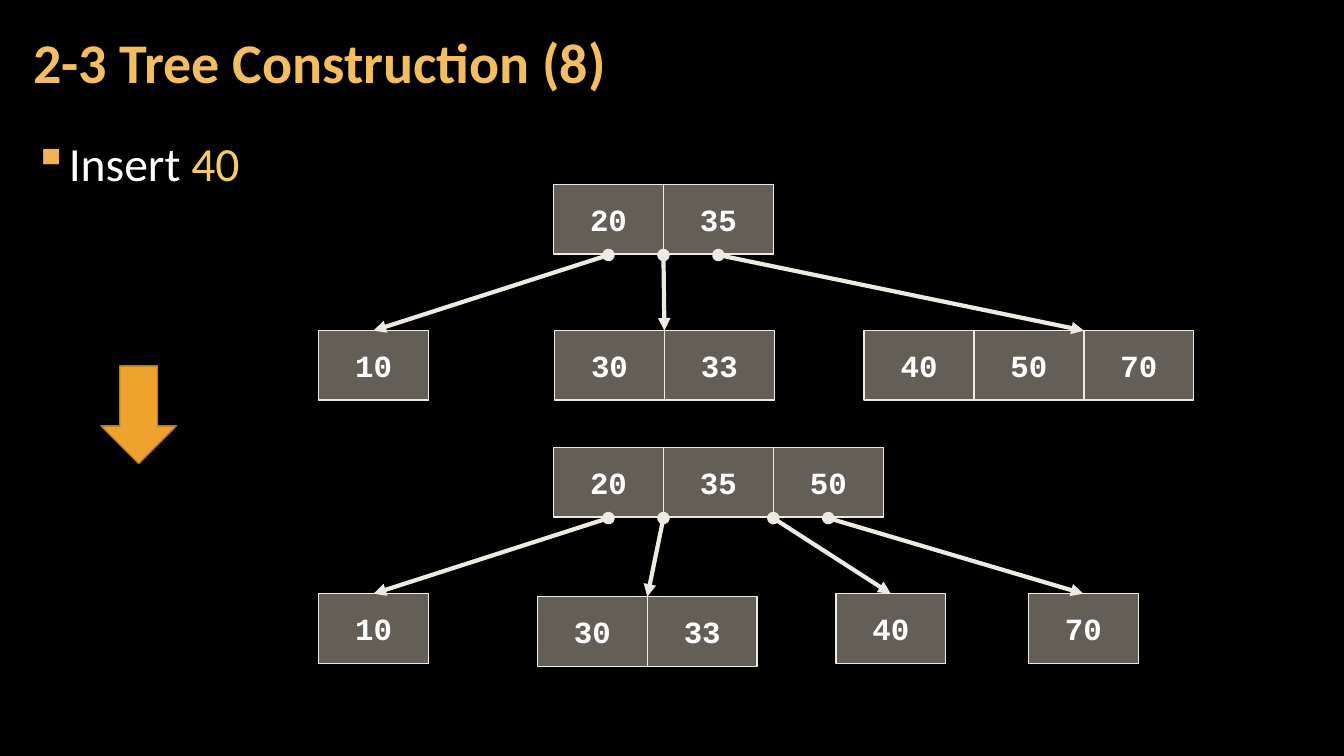
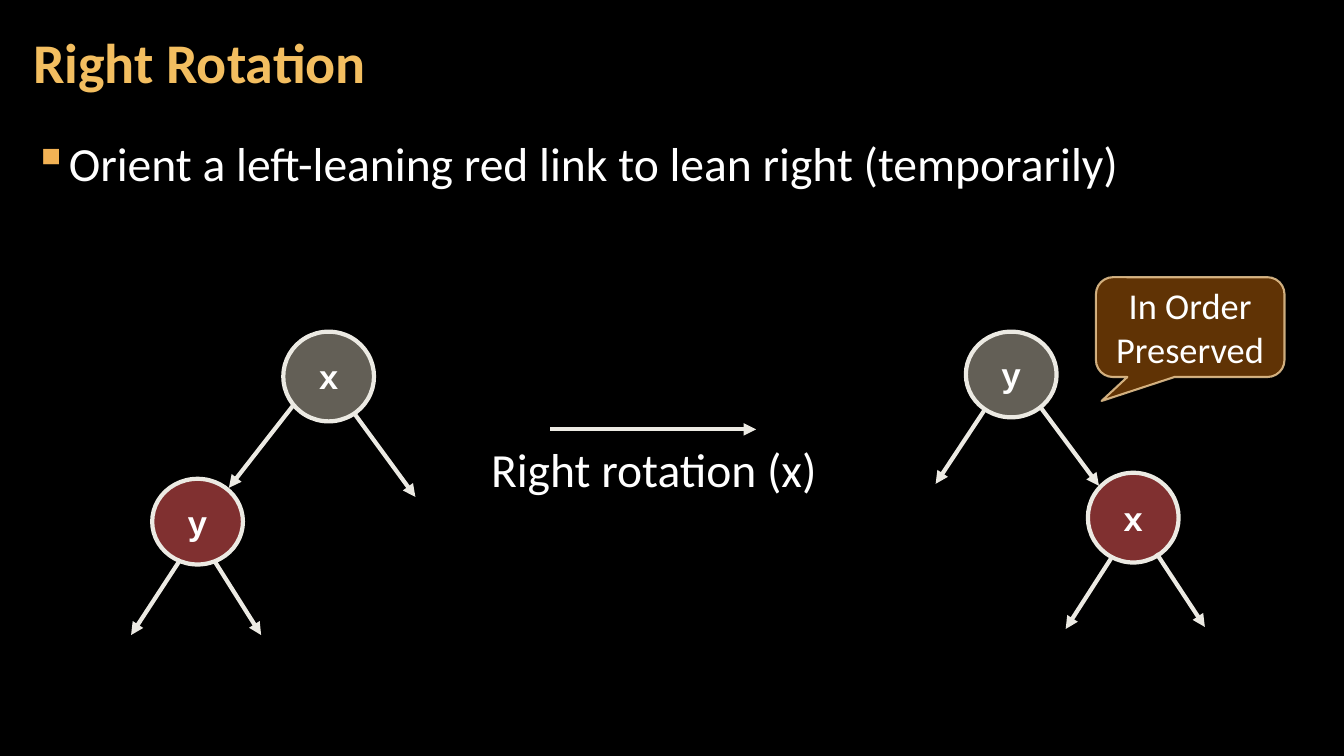
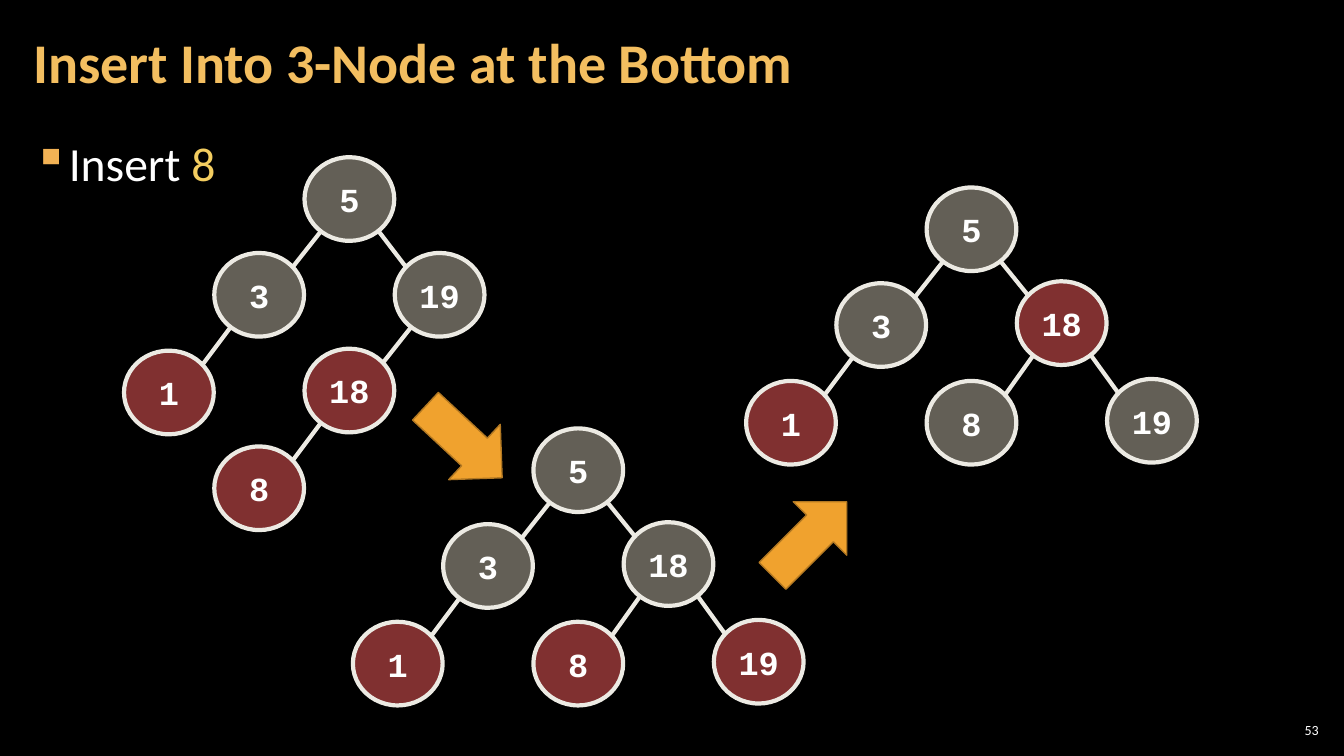
from collections import namedtuple

from lxml import etree
from pptx import Presentation
from pptx.dml.color import RGBColor
from pptx.enum.shapes import MSO_CONNECTOR, MSO_SHAPE
from pptx.enum.text import MSO_ANCHOR, PP_ALIGN
from pptx.oxml.ns import qn
from pptx.util import Inches, Pt

STRAIGHT = MSO_CONNECTOR.STRAIGHT
RECTANGLE, ELLIPSE = MSO_SHAPE.RECTANGLE, MSO_SHAPE.OVAL
BLOCK_ARROW = MSO_SHAPE.RIGHT_ARROW
CALLOUT = MSO_SHAPE.ROUNDED_RECTANGULAR_CALLOUT
TOP, MIDDLE = MSO_ANCHOR.TOP, MSO_ANCHOR.MIDDLE
LEFT, CENTER, RIGHT = PP_ALIGN.LEFT, PP_ALIGN.CENTER, PP_ALIGN.RIGHT

BLACK, WHITE, CREAM = "000000", "FFFFFF", "ECEAE3"
GOLD, YELLOW, BULLET = "F3BE60", "F3CD60", "F2B254"
STONE, RED = "C7BFAC", "FF6161"
ORANGE, DARK_ORANGE = "F0A22E", "B27822"
BROWN, SAND = "663606", "F8D49E"
BODY_FONT, KEY_FONT = "Calibri", "Courier New"

SLIDE_WIDTH, SLIDE_HEIGHT = 13.33, 7.5
MARGIN = 0.21
CELL_WIDTH, CELL_HEIGHT = 1.09, 0.69
NODE_WIDTH, NODE_HEIGHT = 0.89, 0.83
TREE_COLUMN, TREE_ROW = 0.895, 0.95

Box = namedtuple("Box", "left top width height")
# column and row count from the root; parent is the index of an earlier node
Node = namedtuple("Node", "key column row fill parent")
# start and end count cells along the root and along the leaf
Leaf = namedtuple("Leaf", "left drop keys start end")


def color(hex_text):
    return RGBColor.from_string(hex_text)


def inches(values):
    return [Inches(value) for value in values]


def add_child(parent, tag, **attributes):
    return etree.SubElement(parent, qn(tag), **attributes)


def set_opacity(fill_holder, percent):
    add_child(fill_holder.find(qn("a:solidFill"))[0], "a:alpha", val=str(percent * 1000))


def add_span(para, text, size, hex_text=WHITE, font=BODY_FONT, bold=False):
    span = para.add_run()
    span.text = text
    span.font.name, span.font.size, span.font.bold = font, Pt(size), bold
    span.font.color.rgb = color(hex_text)


def add_text(page, box, anchor=TOP, align=LEFT, spacing=1.0, gap=0, side_inset=0.12):
    """Add an empty text box and return its paragraph."""
    frame = page.shapes.add_textbox(*inches(box)).text_frame
    frame.word_wrap = True
    frame.vertical_anchor = anchor
    frame.margin_left = frame.margin_right = Inches(side_inset)
    frame.margin_top = frame.margin_bottom = Inches(0.04)
    para = frame.paragraphs[0]
    para.alignment, para.line_spacing = align, spacing
    para.space_before = para.space_after = Pt(gap)
    return para


def add_panel(page, kind, box, fill, line, line_width, opacity=100):
    shape = page.shapes.add_shape(kind, *inches(box))
    shape.shadow.inherit = False
    shape.fill.solid()
    shape.fill.fore_color.rgb = color(fill)
    shape.line.color.rgb = color(line)
    shape.line.width = Pt(line_width)
    if opacity < 100:
        set_opacity(shape._element.spPr, opacity)
    return shape


def label(shape, text, size, font=KEY_FONT, bold=True, wrap=True):
    frame = shape.text_frame
    frame.word_wrap, frame.vertical_anchor = wrap, MIDDLE
    para = frame.paragraphs[0]
    para.alignment = CENTER
    add_span(para, text, size, font=font, bold=bold)


def add_line(page, start, end, head=None, tail=None):
    connector = page.shapes.add_connector(STRAIGHT, *inches((*start, *end)))
    connector.line.color.rgb = color(CREAM)
    connector.line.width = Pt(3)
    properties = connector._element.spPr
    outline = properties.find(qn("a:ln"))
    if head:
        add_child(outline, "a:headEnd", type=head)
    if tail:
        add_child(outline, "a:tailEnd", type=tail)
    add_child(properties, "a:effectLst")


def add_block_arrow(page, box, rotation):
    add_panel(page, BLOCK_ARROW, box, ORANGE, DARK_ORANGE, 1).rotation = rotation


def add_page(deck, title, bullet, highlight=""):
    page = deck.slides.add_slide(deck.slide_layouts[6])
    para = add_text(page, Box(MARGIN, 0.04, 10.47, 1.21), MIDDLE, spacing=0.9)
    add_span(para, title, 40, GOLD, bold=True)

    body = Box(MARGIN, 1.26, SLIDE_WIDTH - 2 * MARGIN, 6.09)
    para = add_text(page, body, spacing=1.05, gap=6)
    add_span(para, bullet, 34)
    if highlight:
        add_span(para, highlight, 34, YELLOW)
    properties = para._p.get_or_add_pPr()
    indent = Inches(0.33)
    properties.set("marL", str(indent))
    properties.set("indent", str(-indent))
    add_child(add_child(properties, "a:buClr"), "a:srgbClr", val=BULLET)
    add_child(properties, "a:buChar", char="▪")
    return page


def add_cells(page, left, top, keys):
    for column, key in enumerate(keys):
        box = Box(left + column * CELL_WIDTH, top, CELL_WIDTH, CELL_HEIGHT)
        label(add_panel(page, RECTANGLE, box, STONE, CREAM, 1, 50), key, 22)


def add_two_three_tree(page, left, top, keys, leaves):
    add_cells(page, left, top, keys)
    for leaf in leaves:
        leaf_left, leaf_top = left + leaf.left, top + leaf.drop
        add_cells(page, leaf_left, leaf_top, leaf.keys)
        add_line(page, (left + leaf.start * CELL_WIDTH, top + CELL_HEIGHT + 0.01),
                 (leaf_left + leaf.end * CELL_WIDTH, leaf_top), "oval", "triangle")


def add_node(page, box, key, fill):
    label(add_panel(page, ELLIPSE, box, fill, CREAM, 3, 50), key, 24, wrap=False)


def add_binary_tree(page, left, top, nodes):
    """Draw nodes on a grid with the root's box at left, top."""
    boxes = [Box(left + node.column * TREE_COLUMN, top + node.row * TREE_ROW,
                 NODE_WIDTH, NODE_HEIGHT) for node in nodes]
    for node, box in zip(nodes, boxes):
        add_node(page, box, node.key, node.fill)
        if node.parent is None:
            continue
        parent = boxes[node.parent]
        leave, arrive = (0.18, 0.88) if box.left < parent.left else (0.83, 0.12)
        add_line(page,
                 (parent.left + leave * NODE_WIDTH, parent.top + 0.89 * NODE_HEIGHT),
                 (box.left + arrive * NODE_WIDTH, box.top + 0.16 * NODE_HEIGHT))


def add_rotation_side(page, left, top, nodes, arrows):
    """Draw nodes (key, fill, x, y, height) and arrows (x, y, x, y) from left, top."""
    for key, fill, x, y, height in nodes:
        add_node(page, Box(left + x, top + y, 0.9, height), key, fill)
    for x1, y1, x2, y2 in arrows:
        add_line(page, (left + x1, top + y1), (left + x2, top + y2), tail="triangle")


def build_construction(deck):
    page = add_page(deck, "2-3 Tree Construction (8)", "Insert ", "40")
    ten = Leaf(-2.33, 1.45, ["10"], 0.5, 0.5)
    add_two_three_tree(page, 5.49, 1.83, ["20", "35"], [
        ten,
        Leaf(0.01, 1.45, ["30", "33"], 1, 1),
        Leaf(3.08, 1.45, ["40", "50", "70"], 1.5, 2),
    ])
    add_two_three_tree(page, 5.49, 4.44, ["20", "35", "50"], [
        ten,
        Leaf(-0.16, 1.48, ["30", "33"], 1, 1),
        Leaf(2.8, 1.45, ["40"], 2, 0.5),
        Leaf(4.71, 1.45, ["70"], 2.5, 0.5),
    ])
    add_block_arrow(page, Box(0.89, 3.74, 0.97, 0.75), 90)


def add_callout(page, box, text):
    callout = add_panel(page, CALLOUT, box, BROWN, SAND, 1.5, 95)
    set_opacity(callout._element.spPr.find(qn("a:ln")), 80)
    for index, value in enumerate((-0.47, 0.74, 0.17)):
        callout.adjustments[index] = value
    label(callout, text, 26, BODY_FONT, bold=False)


def build_rotation(deck):
    page = add_page(deck, "Right Rotation",
                    "Orient a left-leaning red link to lean right (temporarily)")
    add_line(page, (5.46, 4.26), (7.5, 4.26), tail="triangle")
    para = add_text(page, Box(4.13, 4.37, 4.71, 0.65), align=CENTER, spacing=0.95, gap=6)
    add_span(para, "Right rotation (x)", 34)
    add_callout(page, Box(10.87, 2.75, 1.87, 0.99), "In Order Preserved")
    add_rotation_side(
        page, 1.3, 3.29,
        [("x", STONE, 1.51, 0, 0.89), ("y", RED, 0.21, 1.46, 0.85)],
        [(1.61, 0.73, 0.97, 1.55), (2.22, 0.82, 2.82, 1.64),
         (0.49, 2.26, 0, 3.01), (0.83, 2.28, 1.29, 3.01)])
    add_rotation_side(
        page, 9.28, 3.29,
        [("y", STONE, 0.3, 0, 0.85), ("x", RED, 1.51, 1.4, 0.89)],
        [(0.49, 0.77, 0, 1.51), (1.04, 0.75, 1.62, 1.53),
         (1.74, 2.25, 1.29, 2.95), (2.19, 2.2, 2.67, 2.93)])


def build_insertion(deck):
    page = add_page(deck, "Insert Into 3-Node at the Bottom", "Insert ", "8")
    left_branch = [
        Node("5", 0, 0, STONE, None),
        Node("3", -1, 1, STONE, 0),
        Node("1", -2, 2.02, RED, 1),
    ]
    add_binary_tree(page, 3.02, 1.56, left_branch + [
        Node("19", 1, 1, STONE, 0),
        Node("18", 0, 2, RED, 3),
        Node("8", -1, 3.02, RED, 4),
    ])
    for left, top, middle_fill, leaf_fill in ((5.29, 4.25, STONE, RED),
                                              (9.19, 1.86, RED, STONE)):
        add_binary_tree(page, left, top, left_branch + [
            Node("18", 1, 0.98, middle_fill, 0),
            Node("8", 0, 2.02, leaf_fill, 3),
            Node("19", 2, 2, leaf_fill, 3),
        ])
    add_block_arrow(page, Box(4.08, 4.01, 1.04, 0.75), 43)
    add_block_arrow(page, Box(7.51, 4.97, 1.04, 0.75), 315)
    number = add_text(page, Box(12.65, 7.14, 0.47, 0.21), MIDDLE, RIGHT, side_inset=0.04)
    add_span(number, "53", 10)


def main():
    deck = Presentation()
    deck.slide_width, deck.slide_height = inches((SLIDE_WIDTH, SLIDE_HEIGHT))
    backdrop = deck.slide_master.background.fill
    backdrop.solid()
    backdrop.fore_color.rgb = color(BLACK)
    for build in (build_construction, build_rotation, build_insertion):
        build(deck)
    deck.save("out.pptx")


if __name__ == "__main__":
    main()
